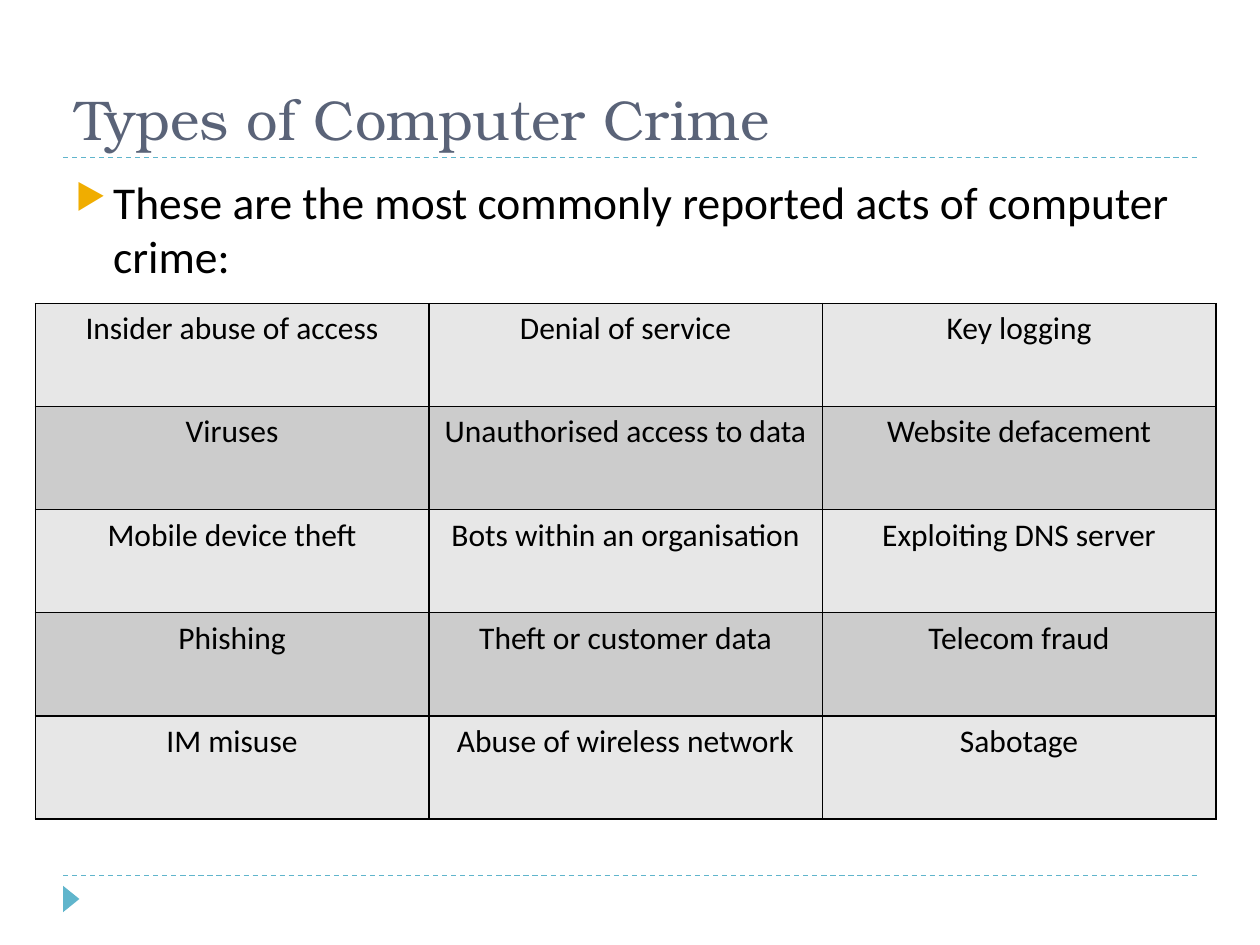
from dataclasses import dataclass

from lxml.etree import SubElement
from pptx import Presentation
from pptx.dml.color import RGBColor
from pptx.enum.dml import MSO_LINE
from pptx.enum.shapes import MSO_CONNECTOR, MSO_SHAPE
from pptx.enum.text import MSO_ANCHOR, PP_ALIGN
from pptx.oxml import parse_xml
from pptx.oxml.ns import nsdecls, qn
from pptx.util import Pt

SCALE = 9144


def px(size):
    return size * SCALE


@dataclass(frozen=True)
class Theme:
    head: str = "5A6378"
    ink: str = "000000"
    teal: str = "60B5CC"
    gold: str = "F0AD00"
    bands: tuple = ("E7E7E7", "CCCCCC")
    serif: str = "TeX Gyre Bonum"
    sans: str = "Calibri"
    large: int = 32
    body: int = 26
    small: int = 18


class Deck:
    def __init__(self, theme):
        self.theme = theme
        self.file = Presentation()
        self.file.slide_width = px(1000)
        self.file.slide_height = px(750)
        self.slide = self.file.slides.add_slide(self.file.slide_layouts[6])

    def font(self, para, face, size, color):
        para.font.name = face
        para.font.size = Pt(size)
        para.font.color.rgb = RGBColor.from_string(color)

    def rule(self, left, top, right):
        line = self.slide.shapes.add_connector(
            MSO_CONNECTOR.STRAIGHT, px(left), px(top), px(right), px(top))
        line.line.color.rgb = RGBColor.from_string(self.theme.teal)
        line.line.width = Pt(0.75)
        line.line.dash_style = MSO_LINE.DASH
        SubElement(line._element.spPr, qn("a:effectLst"))

    def arrow(self, left, top, width, height):
        mark = self.slide.shapes.add_shape(
            MSO_SHAPE.ISOSCELES_TRIANGLE, px(left), px(top), px(width), px(height))
        mark.rotation = 90
        mark.shadow.inherit = False
        mark.fill.solid()
        mark.fill.fore_color.rgb = RGBColor.from_string(self.theme.teal)
        mark.line.fill.background()

    def text(self, words, box, face, size, color, anchor=MSO_ANCHOR.TOP, bullet=None):
        frame = self.slide.shapes.add_textbox(*map(px, box)).text_frame
        frame.word_wrap = True
        frame.vertical_anchor = anchor
        para = frame.paragraphs[0]
        para.text = words
        if bullet:
            self.bullet(para, bullet)
        self.font(para, face, size, color)

    def bullet(self, para, sign):
        props = para._p.get_or_add_pPr()
        props.set("marL", str(px(30)))
        props.set("indent", str(px(-30)))
        tint = SubElement(props, qn("a:buClr"))
        SubElement(tint, qn("a:srgbClr"), val=self.theme.gold)
        SubElement(props, qn("a:buSzPct"), val="76000")
        SubElement(props, qn("a:buChar"), char=sign)

    def border(self, cell):
        props = cell._tc.get_or_add_tcPr()
        for side in "LRTB":
            props.append(parse_xml(
                f'<a:ln{side} {nsdecls("a")} w="{Pt(1)}"><a:solidFill>'
                f'<a:srgbClr val="{self.theme.ink}"/></a:solidFill></a:ln{side}>'))

    def table(self, rows, left, top, width, height):
        grid = self.slide.shapes.add_table(
            len(rows), len(rows[0]), px(left), px(top), px(width), px(height)).table
        for i, row in enumerate(rows):
            for j, words in enumerate(row):
                cell = grid.cell(i, j)
                self.border(cell)
                cell.fill.solid()
                cell.fill.fore_color.rgb = RGBColor.from_string(self.theme.bands[i % 2])
                para = cell.text_frame.paragraphs[0]
                para.text = words
                para.alignment = PP_ALIGN.CENTER
                self.font(para, self.theme.sans, self.theme.small, self.theme.ink)


def main():
    theme = Theme()
    deck = Deck(theme)
    for top in (695, 125):
        deck.rule(50, top, 950)
    deck.arrow(46, 707, 21, 13)
    deck.text("Types of Computer Crime", (50, 17, 900, 108),
              theme.serif, theme.large, theme.head, anchor=MSO_ANCHOR.BOTTOM)
    deck.text("These are the most commonly reported acts of computer crime:",
              (50, 133, 900, 540), theme.sans, theme.body, theme.ink, bullet="▶")
    crimes = [
        ("Insider abuse of access", "Denial of service", "Key logging"),
        ("Viruses", "Unauthorised access to data", "Website defacement"),
        ("Mobile device theft", "Bots within an organisation", "Exploiting DNS server"),
        ("Phishing", "Theft or customer data", "Telecom fraud"),
        ("IM misuse", "Abuse of wireless network", "Sabotage"),
    ]
    deck.table(crimes, 28, 241, 937, 409)
    deck.file.save("out.pptx")


if __name__ == "__main__":
    main()
